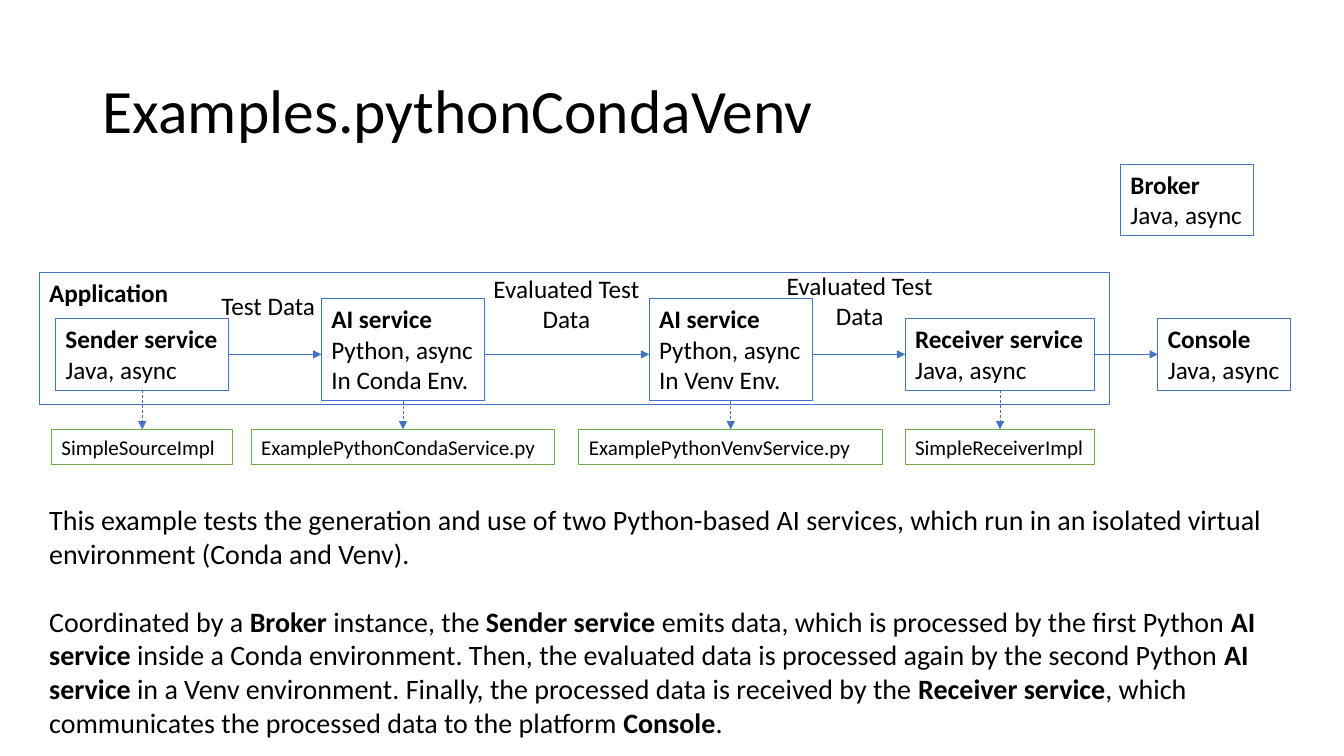
from dataclasses import dataclass

from lxml.etree import SubElement
from pptx import Presentation
from pptx.dml.color import RGBColor
from pptx.enum.dml import MSO_LINE_DASH_STYLE as Dash
from pptx.enum.shapes import MSO_CONNECTOR as Link, MSO_SHAPE as Preset
from pptx.enum.text import MSO_ANCHOR as Anchor, PP_ALIGN as Align
from pptx.oxml.ns import qn
from pptx.util import Cm, Pt

FONT = "Calibri"
BLACK = "000000"
BLUE = "4472C4"
GREEN = "70AD47"


@dataclass
class Box:
    left: float
    top: float
    width: float
    height: float

    @property
    def right(self):
        return self.left + self.width

    @property
    def bottom(self):
        return self.top + self.height

    @property
    def center(self):
        return self.left + self.width / 2

    def lengths(self):
        return [Cm(value) for value in (self.left, self.top, self.width, self.height)]


def color(value):
    return RGBColor.from_string(value)


def write(shape, paras, size, wrap=True, align=Align.LEFT, anchor=Anchor.TOP, gap=0, spacing=1.0):
    frame = shape.text_frame
    frame.word_wrap = wrap
    frame.vertical_anchor = anchor
    for index, spans in enumerate(paras):
        para = frame.add_paragraph() if index else frame.paragraphs[0]
        para.alignment = align
        para.line_spacing = spacing
        if index and gap:
            para.space_before = Pt(gap)
        for text, bold in spans:
            span = para.add_run()
            span.text = text
            span.font.name = FONT
            span.font.size = Pt(size)
            span.font.bold = bold
            span.font.color.rgb = color(BLACK)


def add_text(page, box, paras, size, **style):
    write(page.shapes.add_textbox(*box.lengths()), paras, size, **style)


def add_frame(page, box, outline, paras, size, wrap=True):
    shape = page.shapes.add_shape(Preset.RECTANGLE, *box.lengths())
    shape.shadow.inherit = False
    shape.fill.background()
    shape.line.color.rgb = color(outline)
    shape.line.width = Pt(0.75)
    write(shape, paras, size, wrap)


def add_arrow(page, kind, start, end, dashed=False):
    arrow = page.shapes.add_connector(kind, *[Cm(value) for value in (*start, *end)])
    arrow.line.color.rgb = color(BLUE)
    arrow.line.width = Pt(0.5)
    if dashed:
        arrow.line.dash_style = Dash.DASH
    SubElement(arrow.line._get_or_add_ln(), qn("a:tailEnd"), type="triangle")
    SubElement(arrow._element.spPr, qn("a:effectLst"))


def add_service(page, box, name, *details):
    paras = [[(name, True)]] + [[(detail, False)] for detail in details]
    add_frame(page, box, BLUE, paras, 18, wrap=False)


def add_implementation(page, box, service, name):
    add_arrow(page, Link.STRAIGHT, (service.center, service.bottom), (service.center, box.top), dashed=True)
    add_frame(page, box, GREEN, [[(name, False)]], 15)


def add_pipeline(page, box):
    add_frame(page, box, BLUE, [[("Application", True)]], 18)

    row = box.top + 1.17
    ai_row = box.top + 0.67
    sender = Box(box.left + 0.41, row, 4.37, 1.8)
    conda = Box(box.left + 7.11, ai_row, 4.11, 2.57)
    venv = Box(box.left + 15.37, ai_row, 4.11, 2.57)
    receiver = Box(box.left + 21.82, row, 4.78, 1.8)
    console = Box(box.left + 28.19, row, 3.35, 1.8)
    services = [
        (sender, "Sender service", "Java, async"),
        (conda, "AI service", "Python, async", "In Conda Env."),
        (venv, "AI service", "Python, async", "In Venv Env."),
        (receiver, "Receiver service", "Java, async"),
        (console, "Console", "Java, async"),
    ]
    for service in services:
        add_service(page, *service)

    middle = row + 0.9
    chain = [service[0] for service in services]
    for source, target in zip(chain, chain[1:]):
        add_arrow(page, Link.ELBOW, (source.right, middle), (target.left, middle))

    evaluated = ("Evaluated Test", "Data")
    labels = [
        (Box(box.left + 4.32, box.top + 0.33, 2.9, 1.02), ("Test Data",)),
        (Box(box.left + 11.1, box.top - 0.1, 4.37, 1.8), evaluated),
        (Box(box.left + 18.49, box.top - 0.18, 4.37, 1.8), evaluated),
    ]
    for place, lines in labels:
        add_text(page, place, [[(line, False)] for line in lines], 18, wrap=False, align=Align.CENTER)

    implementations = [
        (sender, 4.57, "SimpleSourceImpl"),
        (conda, 7.65, "ExamplePythonCondaService.py"),
        (venv, 7.65, "ExamplePythonVenvService.py"),
        (receiver, 4.78, "SimpleReceiverImpl"),
    ]
    for service, width, name in implementations:
        place = Box(service.center - width / 2, box.bottom + 0.63, width, 0.89)
        add_implementation(page, place, service, name)


def add_title(page, box):
    title = [[("Examples.pythonCondaVenv", False)]]
    add_text(page, box, title, 44, anchor=Anchor.MIDDLE, spacing=0.9)


def add_description(page, box):
    summary = [(
        "This example tests the generation and use of two Python-based AI services, "
        "which run in an isolated virtual environment (Conda and Venv).", False)]
    workflow = [
        ("Coordinated by a ", False),
        ("Broker", True),
        (" instance, the ", False),
        ("Sender service ", True),
        ("emits data, which is processed by the first Python ", False),
        ("AI service", True),
        (" inside a Conda environment. Then, the evaluated data is processed again by the second Python ", False),
        ("AI service ", True),
        ("in a Venv environment. Finally, the processed data is received by the ", False),
        ("Receiver service", True),
        (", which communicates the processed data to the platform ", False),
        ("Console", True),
        (".", False),
    ]
    add_text(page, box, [summary, workflow], 20, gap=24.4)


def main():
    deck = Presentation()
    deck.slide_width = Cm(33.87)
    deck.slide_height = Cm(19.05)
    page = deck.slides.add_slide(deck.slide_layouts[6])
    add_title(page, Box(2.34, 1.02, 29.21, 3.68))
    add_service(page, Box(28.24, 4.14, 3.35, 1.8), "Broker", "Java, async")
    add_pipeline(page, Box(0.99, 6.86, 26.97, 3.33))
    add_description(page, Box(0.99, 12.55, 31.55, 6.25))
    deck.save("out.pptx")


if __name__ == "__main__":
    main()
